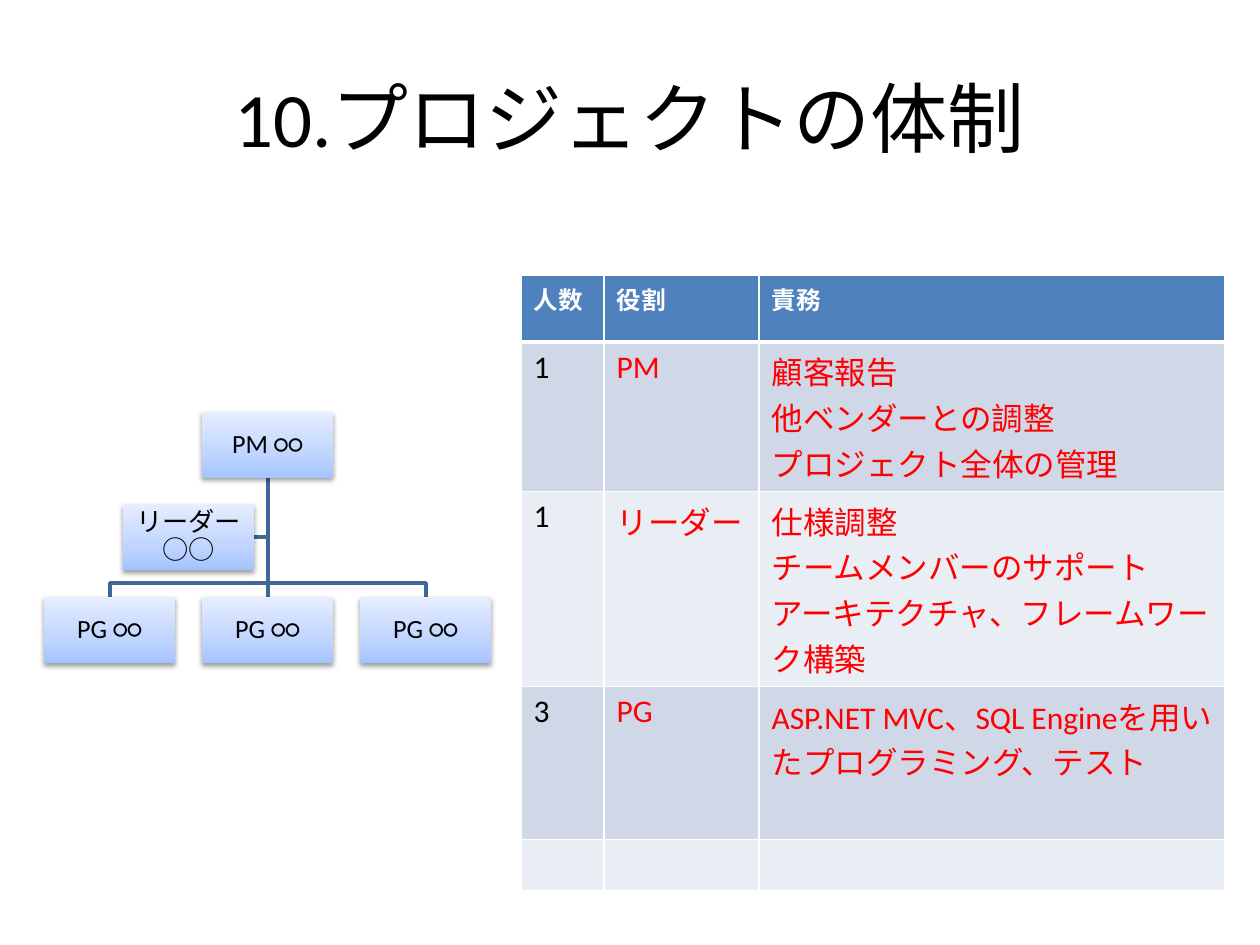
from lxml.etree import SubElement
from pptx import Presentation
from pptx.dml.color import RGBColor
from pptx.enum.shapes import MSO_CONNECTOR as Connector, MSO_SHAPE as Shape
from pptx.enum.text import MSO_ANCHOR as Anchor, PP_ALIGN as Align
from pptx.oxml.ns import qn
from pptx.util import Pt

PX = 914400 / 126
BLACK = RGBColor(0, 0, 0)
WHITE = RGBColor(0xFF, 0xFF, 0xFF)
RED = RGBColor(0xFF, 0, 0)
HEADER_BLUE = RGBColor(0x4F, 0x81, 0xBD)
BANDS = [RGBColor(0xE9, 0xED, 0xF4), RGBColor(0xD0, 0xD8, 0xE8)]
LINE_BLUE = RGBColor(0x3F, 0x67, 0x97)
BOX_STOPS = [(0, RGBColor(0xA4, 0xC4, 0xFF)), (35, RGBColor(0xBF, 0xD4, 0xFF)),
             (100, RGBColor(0xE6, 0xEE, 0xFF))]


def px(*values):
    return [round(value * PX) for value in values]


def set_font(paragraph, size, color, bold=False):
    font = paragraph.font
    font.name, font.size, font.bold = "Calibri", Pt(size), bold
    font.color.rgb = color


presentation = Presentation()
presentation.slide_width, presentation.slide_height = px(1260, 945)
slide = presentation.slides.add_slide(presentation.slide_layouts[5])

# Title
title = slide.shapes.title
title.left, title.top, title.width, title.height = px(63, 38, 1134, 157)
title.text_frame.text = "10.プロジェクトの体制"
title.text_frame.vertical_anchor = Anchor.MIDDLE
title.text_frame.paragraphs[0].alignment = Align.CENTER
set_font(title.text_frame.paragraphs[0], 44, BLACK)

# Table of roles
rows = [
    ("人数", "役割", "責務"),
    ("1", "PM", "顧客報告\n他ベンダーとの調整\nプロジェクト全体の管理"),
    ("1", "リーダー", "仕様調整\nチームメンバーのサポート\n"
                  "アーキテクチャ、フレームワーク構築"),
    ("3", "PG", "ASP.NET MVC、SQL Engineを用いたプログラミング、テスト"),
    ("", "", ""),
]
table = slide.shapes.add_table(len(rows), 3, *px(521, 275, 704, 403)).table
for column, width in zip(table.columns, px(83, 155, 466)):
    column.width = width
for row, height in zip(table.rows, px(67, 87, 49, 153, 47)):
    row.height = height

for r, texts in enumerate(rows):
    for c, text in enumerate(texts):
        cell = table.cell(r, c)
        cell.text = text
        for paragraph in cell.text_frame.paragraphs:
            if r == 0:
                set_font(paragraph, 14, WHITE, bold=True)
            else:
                set_font(paragraph, 18, RED if c else BLACK)
        cell.fill.solid()
        cell.fill.fore_color.rgb = BANDS[r % 2] if r else HEADER_BLUE
        # Cell borders come before the fill
        properties = cell._tc.get_or_add_tcPr()
        for index, side in enumerate(("lnL", "lnR", "lnT", "lnB")):
            thick = (r, side) in ((0, "lnB"), (1, "lnT"))
            border = SubElement(properties, qn("a:" + side), w=str(Pt(3 if thick else 1)))
            fill = SubElement(border, qn("a:solidFill"))
            SubElement(fill, qn("a:srgbClr"), val=str(WHITE))
            properties.insert(index, border)

# Organisation chart: positions
BOX_WIDTH, BOX_HEIGHT = 131, 66
MEMBER_LEFT, MEMBER_STEP, MEMBER_TOP = 44, 158, 597
manager_left, manager_top = MEMBER_LEFT + MEMBER_STEP, 412
leader_left, leader_top = 123, 504
trunk_x = manager_left + BOX_WIDTH / 2
trunk_top = manager_top + BOX_HEIGHT
branch_y = 583

# Organisation chart: lines
leader_y = leader_top + BOX_HEIGHT / 2
bent_lines = [[(trunk_x, leader_y), (leader_left + BOX_WIDTH, leader_y)]]
for member_x in (trunk_x - MEMBER_STEP, trunk_x + MEMBER_STEP):
    bent_lines.append([(trunk_x, branch_y), (member_x, branch_y), (member_x, MEMBER_TOP)])

lines = []
for points in bent_lines:
    builder = slide.shapes.build_freeform(round(trunk_x), trunk_top, scale=PX)
    builder.add_line_segments([(round(x), round(y)) for x, y in points], close=False)
    bent_line = builder.convert_to_shape()
    bent_line.fill.background()
    bent_line.shadow.inherit = False
    lines.append(bent_line)
trunk = slide.shapes.add_connector(
    Connector.STRAIGHT, *px(round(trunk_x), trunk_top, round(trunk_x), MEMBER_TOP))
SubElement(trunk._element.spPr, qn("a:effectLst"))
lines.append(trunk)
for line_shape in lines:
    line_shape.line.color.rgb = LINE_BLUE
    line_shape.line.width = Pt(2)

# Organisation chart: boxes
boxes = [("PM ○○", manager_left, manager_top)]
boxes += [("PG ○○", MEMBER_LEFT + i * MEMBER_STEP, MEMBER_TOP) for i in range(3)]
boxes.append(("リーダー ○○", leader_left, leader_top))
for text, left, top in boxes:
    box = slide.shapes.add_shape(Shape.RECTANGLE, *px(left, top, BOX_WIDTH, BOX_HEIGHT))
    box.line.fill.background()
    box.fill.gradient()
    box.fill.gradient_angle = 90
    stops = box._element.spPr.find(".//" + qn("a:gsLst"))
    for stop in list(stops):
        stops.remove(stop)
    for position, color in BOX_STOPS:
        stop = SubElement(stops, qn("a:gs"), pos=str(position * 1000))
        SubElement(stop, qn("a:srgbClr"), val=str(color))

    # Soft shadow below the box
    box.shadow.inherit = False
    effects = box._element.spPr.find(qn("a:effectLst"))
    shadow = SubElement(effects, qn("a:outerShdw"), blurRad=str(Pt(3.1)),
                        dist=str(Pt(1.6)), dir="5400000", rotWithShape="0")
    shadow_color = SubElement(shadow, qn("a:srgbClr"), val=str(BLACK))
    SubElement(shadow_color, qn("a:alpha"), val="38000")

    frame = box.text_frame
    frame.word_wrap = True
    frame.vertical_anchor = Anchor.MIDDLE
    frame.margin_left, frame.margin_top, frame.margin_right, frame.margin_bottom = px(1, 1, 1, 1)
    frame.text = text
    paragraph = frame.paragraphs[0]
    paragraph.alignment = Align.CENTER
    paragraph.line_spacing = 0.9
    set_font(paragraph, 15, BLACK)

presentation.save("out.pptx")
